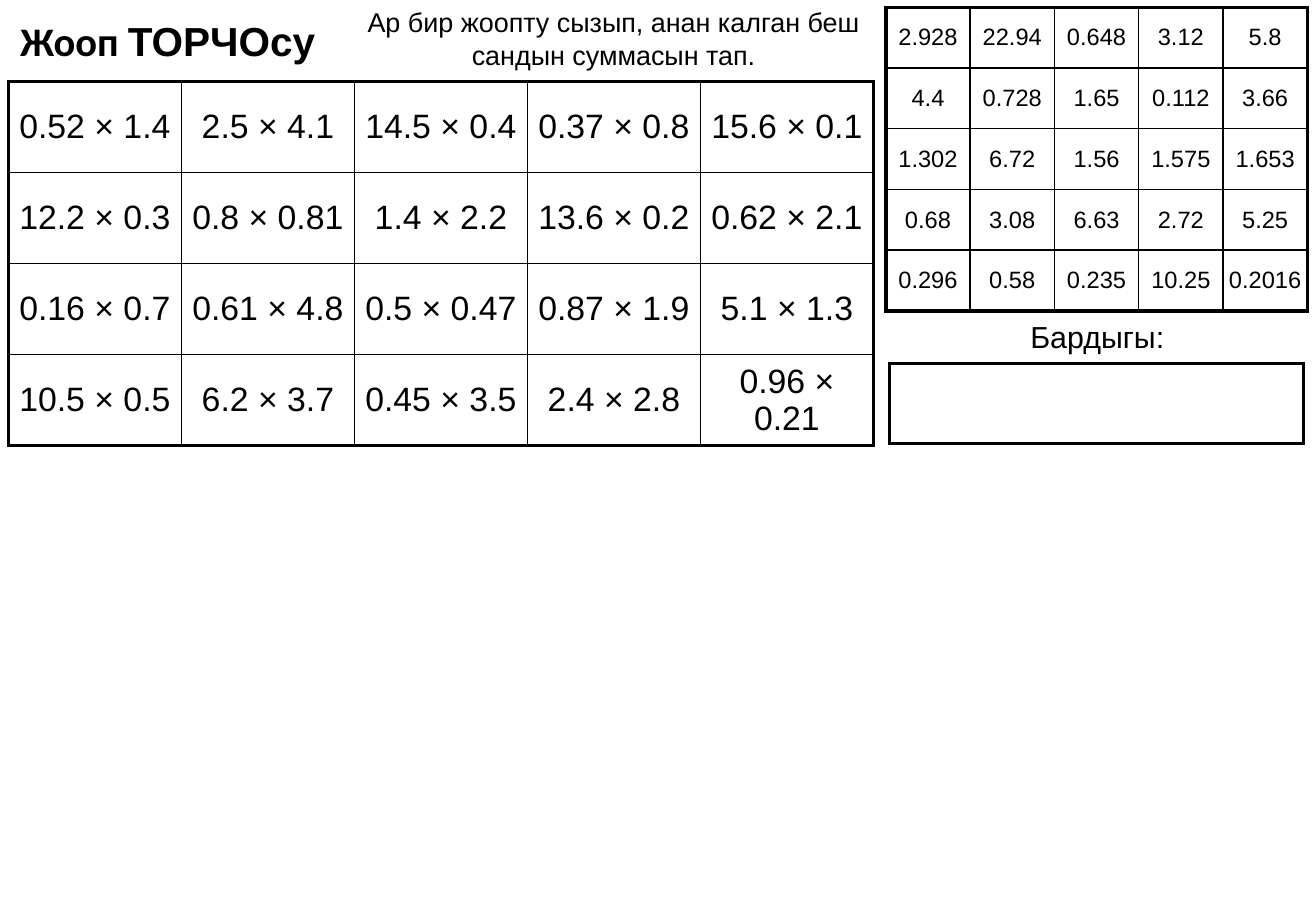
from lxml.etree import SubElement
from pptx import Presentation
from pptx.dml.color import RGBColor
from pptx.enum.text import MSO_ANCHOR as Anchor, PP_ALIGN as Align
from pptx.oxml.ns import qn
from pptx.util import Inches, Pt

# Content
TITLE = [("Жооп ", "Calibri"), ("ТОРЧОсу", "Arial")]
TASK = [("Ар бир жоопту сызып, анан калган беш сандын суммасын тап.", "Arial")]
TOTAL = [("Бардыгы:", "Arial")]
ANSWERS = [
    ["2.928", "22.94", "0.648", "3.12", "5.8"],
    ["4.4", "0.728", "1.65", "0.112", "3.66"],
    ["1.302", "6.72", "1.56", "1.575", "1.653"],
    ["0.68", "3.08", "6.63", "2.72", "5.25"],
    ["0.296", "0.58", "0.235", "10.25", "0.2016"],
]
QUESTIONS = [
    ["0.52 × 1.4", "2.5 × 4.1", "14.5 × 0.4", "0.37 × 0.8", "15.6 × 0.1"],
    ["12.2 × 0.3", "0.8 × 0.81", "1.4 × 2.2", "13.6 × 0.2", "0.62 × 2.1"],
    ["0.16 × 0.7", "0.61 × 4.8", "0.5 × 0.47", "0.87 × 1.9", "5.1 × 1.3"],
    ["10.5 × 0.5", "6.2 × 3.7", "0.45 × 3.5", "2.4 × 2.8", "0.96 × 0.21"],
]
TOTAL_BOX = [[""]]

# Style: line widths in points
BLACK, WHITE = "000000", "FFFFFF"
OUTER, INNER = 2.25, 1

# Tables: rows, (left, top, width, height) in inches, text size, cell margin
TABLES = [
    (ANSWERS, (7.29, 0.06, 3.47, 2.5), 14, 0),
    (QUESTIONS, (0.07, 0.67, 7.12, 3), 20, 0.05),
    (TOTAL_BOX, (7.32, 2.99, 3.41, 0.66), 18, 0.05),
]
# Labels: spans, (left, top, width, height) in inches, size, bold, alignment
LABELS = [
    (TOTAL, (7.37, 2.57, 3.32, 0.4), 18, False, Align.CENTER),
    (TASK, (2.52, 0, 5.06, 0.64), 16, False, Align.CENTER),
    (TITLE, (0.07, 0.08, 4.62, 0.5), 24, True, Align.LEFT),
]


def color(value):
    return RGBColor.from_string(value)


def set_borders(cell, widths):
    properties = cell._tc.get_or_add_tcPr()
    for side, width in widths.items():
        line = SubElement(properties, qn(f"a:ln{side}"), w=str(Pt(width)))
        fill = SubElement(line, qn("a:solidFill"))
        SubElement(fill, qn("a:srgbClr"), val=BLACK)


def style_font(font, size, bold=False):
    font.size, font.bold = Pt(size), bold
    font.color.rgb = color(BLACK)


def add_grid(page, rows, area, size, margin):
    row_count, column_count = len(rows), len(rows[0])
    left, top, width, height = (Inches(length) for length in area)
    table = page.shapes.add_table(
        row_count, column_count, left, top, width, height).table
    table.first_row = table.horz_banding = False
    for r, row in enumerate(rows):
        for c, text in enumerate(row):
            cell = table.cell(r, c)
            edges = {"L": c == 0, "R": c == column_count - 1,
                     "T": r == 0, "B": r == row_count - 1}
            set_borders(cell, {side: OUTER if edge else INNER
                               for side, edge in edges.items()})
            cell.fill.solid()
            cell.fill.fore_color.rgb = color(WHITE)
            cell.margin_left = cell.margin_right = Inches(margin)
            cell.margin_top = cell.margin_bottom = Inches(margin)
            cell.vertical_anchor = Anchor.MIDDLE
            cell.text = text
            para = cell.text_frame.paragraphs[0]
            para.alignment = Align.CENTER
            style_font(para.font, size)
            para.font.name = "Arial"


def add_label(page, spans, area, size, bold, alignment):
    box = page.shapes.add_textbox(*(Inches(length) for length in area))
    box.text_frame.word_wrap = True
    para = box.text_frame.paragraphs[0]
    para.alignment = alignment
    style_font(para.font, size, bold)
    for text, font_name in spans:
        span = para.add_run()
        span.text, span.font.name = text, font_name


def main():
    deck = Presentation()
    deck.slide_width, deck.slide_height = Inches(10.83), Inches(7.5)
    page = deck.slides.add_slide(deck.slide_layouts[6])
    for grid in TABLES:
        add_grid(page, *grid)
    for label in LABELS:
        add_label(page, *label)
    deck.save("out.pptx")


if __name__ == "__main__":
    main()
